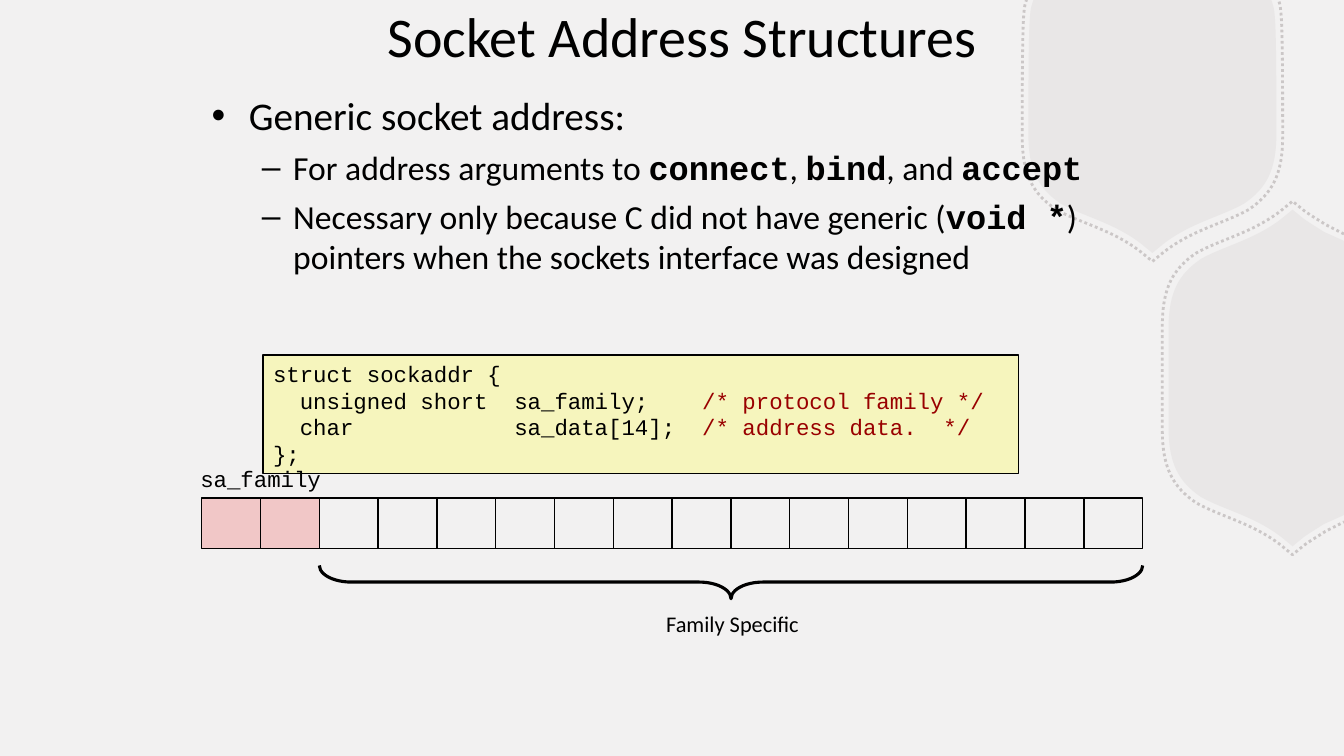
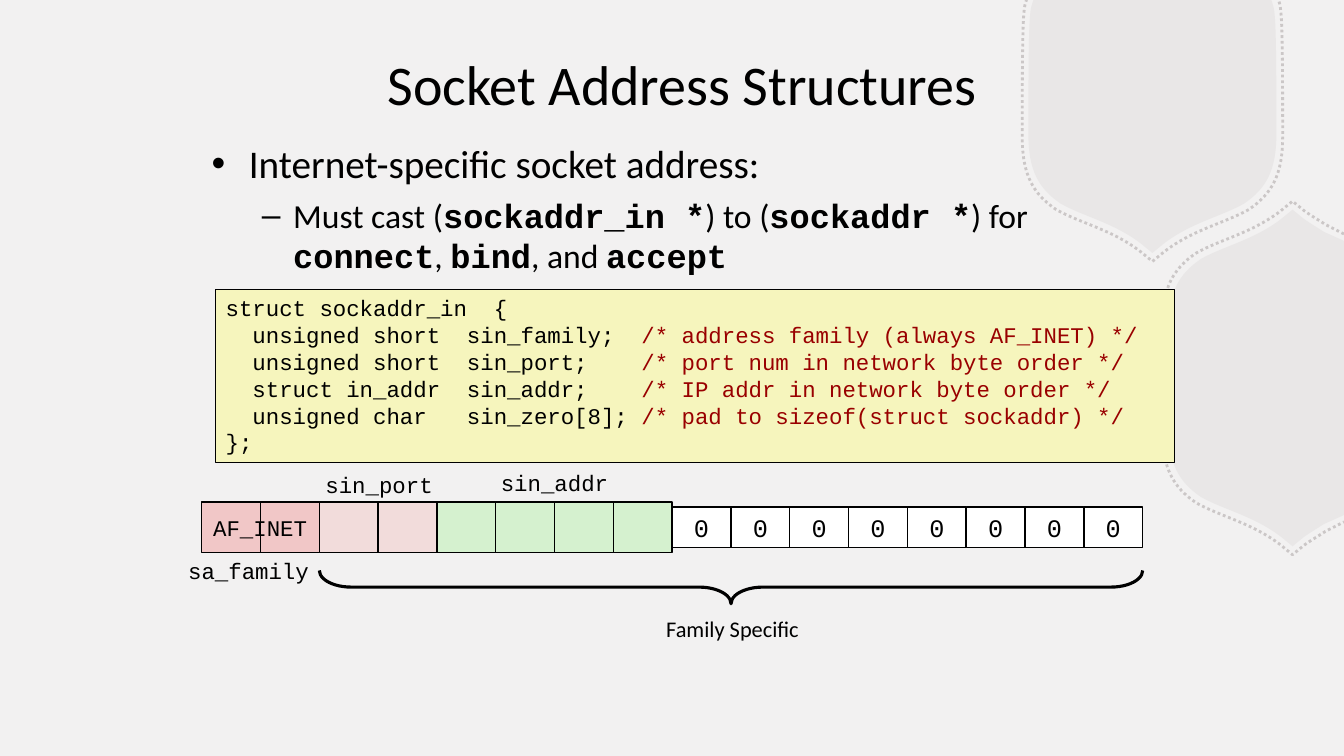
import pptx
import pptx.dml.color
import pptx.enum.dml
import pptx.enum.shapes
import pptx.enum.text
import pptx.oxml.ns
import pptx.util
from lxml import etree

Inches = pptx.util.Inches
Pt = pptx.util.Pt
KIND = pptx.enum.shapes.MSO_SHAPE
ALIGN = pptx.enum.text.PP_ALIGN
ANCHOR = pptx.enum.text.MSO_ANCHOR
qn = pptx.oxml.ns.qn

# Shared style
WIDE, HIGH = 13.33, 7.5
SANS, MONO = "Calibri", "Courier New"
BLACK, WHITE, RED = "000000", "FFFFFF", "990000"
BACK, GREY, CREAM = "F2F1F1", "B8B2B2", "F6F5BD"
ROSE, PINK, GREEN = "F1C7C7", "F2DCDB", "D5F1CF"
LEFT, CELL, COUNT = 2, 7 / 12, 16

# Bullet levels: mark, left margin, hanging indent, space before, size
LEVELS = [("•", 0.37, 0.37, 7, 28), ("–", 0.81, 0.31, 6, 24)]

# Badge outline from tip to side: x, y and whether it is a curve handle
ARC = [
    (0, 1.67, False), (0.11, 1.58, False),
    (0.38, 1.37, True), (0.68, 1.31, True), (0.91, 1.18, False),
    (1.13, 1.03, True), (1.23, 0.85, True), (1.23, 0.49, False),
]
# Ends of the outline at the top and at the right edge of the slide
TOP = [(1.23, -0.49, False), (1.23, -0.62, True), (1.22, -0.73, True),
       (1.19, -0.81, False), (1.18, -0.84, False)]
SIDE = [(0.11, 1.58, False), (0.18, 1.53, True), (0.25, 1.49, True),
        (0.31, 1.45, False), (0.51, 1.36, False)]


def tint(target, code):
    """Colour a fill or a font; None clears a fill."""
    if code is None:
        target.background()
        return
    if hasattr(target, "solid"):
        target.solid()
        target = target.fore_color
    else:
        target = target.color
    target.rgb = pptx.dml.color.RGBColor.from_string(code)


def style(shape, fill=None, line=None, width=1):
    shape.shadow.inherit = False
    tint(shape.fill, fill)
    tint(shape.line.fill, line)
    if line:
        shape.line.width = Pt(width)


def fade(shape, percent):
    for color in shape._element.spPr.iter(qn("a:srgbClr")):
        etree.SubElement(color, qn("a:alpha"), val=str(percent * 1000))


def write(frame, text, size=16, font=MONO, color=BLACK, align=ALIGN.LEFT,
          anchor=ANCHOR.TOP, wrap=True, alt=None, levels=None):
    """Write lines of text; parts between backticks take the alt format."""
    frame.word_wrap = wrap
    frame.vertical_anchor = anchor
    plain = {"font": font, "color": color, "bold": False}
    for row, line in enumerate(text.split("\n")):
        para = frame.paragraphs[0] if row == 0 else frame.add_paragraph()
        para.alignment = align
        points = size
        if levels:
            points = bullet(para, levels[row])
        for part, piece in enumerate(line.split("`")):
            if not piece:
                continue
            look = {**plain, **(alt or {})} if part % 2 else plain
            run = para.add_run()
            run.text = piece
            run.font.size = Pt(points)
            run.font.name = look["font"]
            run.font.bold = look["bold"]
            tint(run.font, look["color"])


def bullet(para, level):
    """Set the bullet of a level and return its text size."""
    mark, margin, hang, before, size = LEVELS[level]
    para.space_before = Pt(before)
    props = para._p.get_or_add_pPr()
    props.set("marL", str(Inches(margin)))
    props.set("indent", str(-Inches(hang)))
    etree.SubElement(props, qn("a:buFont"), typeface="Arial")
    etree.SubElement(props, qn("a:buChar"), char=mark)
    return size


def label(slide, box, text, **look):
    shape = slide.shapes.add_textbox(*map(Inches, box))
    write(shape.text_frame, text, **look)


def block(slide, box, fill=None):
    shape = slide.shapes.add_shape(KIND.RECTANGLE, *map(Inches, box))
    style(shape, fill, BLACK)
    return shape


# Background badges
def mirror(half, flip_x, flip_y):
    """Join a half outline to its mirrored twin."""
    twin = [(x * flip_x, y * flip_y, handle) for x, y, handle in half]
    return twin[::-1] + half[1:]


UPPER = mirror(ARC + TOP[1:], -1, 1)
LOWER = mirror([(-1.23, 0, False)]
               + [(-x, y, handle) for x, y, handle in ARC[::-1]] + SIDE, 1, -1)


def bend(shape, handles):
    """Turn each line that leads to a pair of handles into a curve."""
    lines = list(shape._element.iter(qn("a:lnTo")))
    for i, line in enumerate(lines):
        if handles[i + 1] and not handles[i]:
            line.tag = qn("a:cubicBezTo")
            for other in lines[i + 1:i + 3]:
                line.append(other[0])
                other.getparent().remove(other)


def badge(slide, x, y, points, scale, dotted):
    spots = [(Inches(min(x + scale * dx, WIDE)), Inches(max(y + scale * dy, 0)))
             for dx, dy, _ in points]
    pen = slide.shapes.build_freeform(*spots[0], scale=1.0)
    pen.add_line_segments(spots[1:], close=not dotted)
    shape = pen.convert_to_shape()
    bend(shape, [handle for _, _, handle in points])
    if dotted:
        style(shape, None, GREY, 2)
        shape.line.dash_style = pptx.enum.dml.MSO_LINE.ROUND_DOT
        fade(shape, 65)
    else:
        style(shape, GREY)
        fade(shape, 15)


# Slide parts
def begin(deck, top):
    slide = deck.slides.add_slide(deck.slide_layouts[6])
    for scale, dotted in ((1, False), (1.05, True)):
        badge(slide, 11.43, 0.84, UPPER, scale, dotted)
        badge(slide, 12.82, 3.75, LOWER, scale, dotted)
    label(slide, (2, top, 9.53, 0.85), "Socket Address Structures", size=40,
          font=SANS, align=ALIGN.CENTER, anchor=ANCHOR.MIDDLE)
    return slide


def body(slide, box, text, levels):
    label(slide, box, text, font=SANS, levels=levels,
          alt={"font": MONO, "bold": True})


def code(slide, box, text):
    write(block(slide, box, CREAM).text_frame, text, alt={"color": RED})


def field(slide, x, y, wide, text, font=MONO):
    label(slide, (x, y, wide, 0.37), text, font=font, align=ALIGN.CENTER,
          wrap=False)


def cells(slide, top, high, fills, first=0, text=""):
    for i, fill in enumerate(fills, first):
        shape = block(slide, (LEFT + i * CELL, top, CELL, high), fill)
        if text:
            write(shape.text_frame, text, size=18, align=ALIGN.CENTER,
                  anchor=ANCHOR.MIDDLE)


def brace(slide, top):
    """Brace below all cells but the first two, with its caption."""
    thick, span = 0.33, (COUNT - 2) * CELL
    mid = LEFT + 2 * CELL + span / 2
    box = (mid - thick / 2, top + thick / 2 - span / 2, thick, span)
    shape = slide.shapes.add_shape(KIND.RIGHT_BRACE, *map(Inches, box))
    shape.rotation = 90
    shape.adjustments[0], shape.adjustments[1] = 0.96, 0.5
    style(shape, None, BLACK, 2.25)
    field(slide, 6.5, top + 0.39, 1.53, "Family Specific", SANS)


# Slides
def generic(deck):
    slide = begin(deck, -0.08)
    body(slide, (2, 0.86, 9.09, 4.66),
         "Generic socket address:\n"
         "For address arguments to `connect`, `bind`, and `accept`\n"
         "Necessary only because C did not have generic (`void *`) "
         "pointers when the sockets interface was designed", (0, 1, 1))
    code(slide, (2.61, 3.52, 7.49, 1.18),
         "struct sockaddr {\n"
         "  unsigned short  sa_family;    `/* protocol family */`\n"
         "  char            sa_data[14];  `/* address data.  */`\n"
         "};")
    cells(slide, 4.94, 0.5, [ROSE] * 2 + [None] * (COUNT - 2))
    field(slide, 1.88, 4.57, 1.41, "sa_family")
    brace(slide, 5.61)


def inet(deck):
    slide = begin(deck, 0.4)
    body(slide, (2, 1.33, 9.09, 2.9),
         "Internet-specific socket address:\n"
         "Must cast (`sockaddr_in *`) to (`sockaddr *`) for "
         "`connect`, `bind`, and `accept`", (0, 1))
    cells(slide, 4.98, 0.5, [ROSE] * 2 + [PINK] * 2 + [GREEN] * 4)
    cells(slide, 5.03, 0.4, [WHITE] * 8, first=8, text="0")
    brace(slide, 5.66)
    code(slide, (2.14, 2.87, 9.51, 1.72),
         "struct sockaddr_in  {\n"
         "  unsigned short  sin_family;  `/* address family (always AF_INET) */`\n"
         "  unsigned short  sin_port;    `/* port num in network byte order */`\n"
         "  struct in_addr  sin_addr;    `/* IP addr in network byte order */`\n"
         "  unsigned char   sin_zero[8]; `/* pad to sizeof(struct sockaddr) */`\n"
         "};")
    for x, y, wide, text in (
            (1.76, 5.48, 1.41, "sa_family"), (3.12, 4.62, 1.28, "sin_port"),
            (2.01, 5.05, 1.14, "AF_INET"), (4.86, 4.61, 1.28, "sin_addr")):
        field(slide, x, y, wide, text)


def main():
    deck = pptx.Presentation()
    deck.slide_width, deck.slide_height = Inches(WIDE), Inches(HIGH)
    tint(deck.slide_master.background.fill, BACK)
    generic(deck)
    inet(deck)
    deck.save("out.pptx")


if __name__ == "__main__":
    main()
